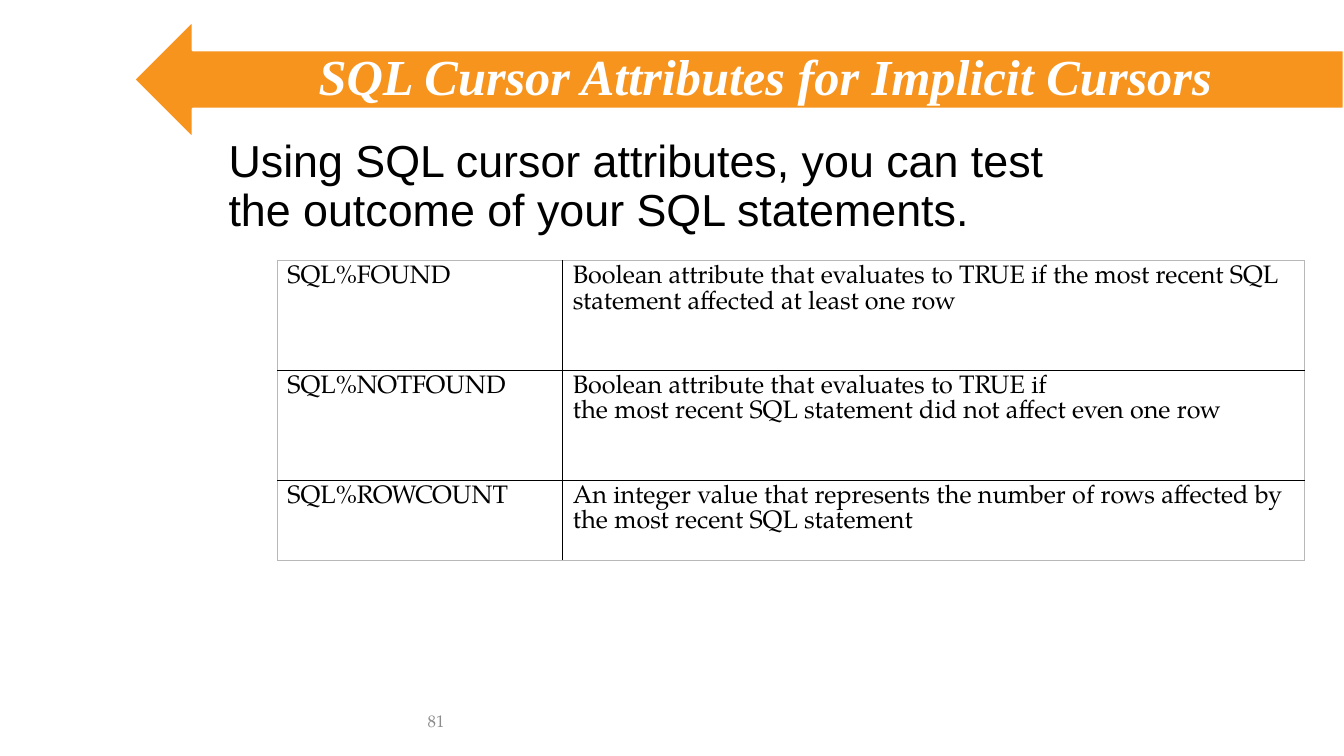
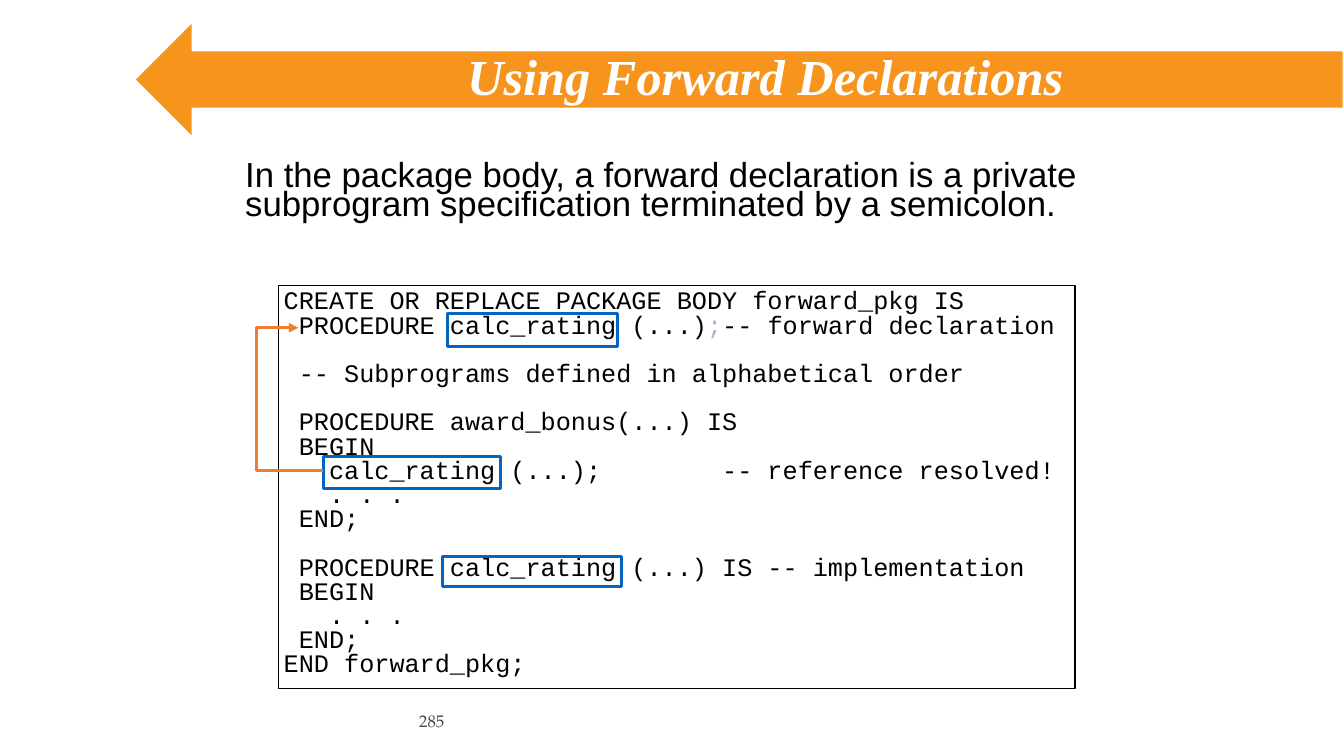
from lxml import etree
from pptx import Presentation
from pptx.dml.color import RGBColor
from pptx.enum import shapes, text
from pptx.oxml import ns
from pptx.util import Cm, Pt

COLORS = {
    "white": "FFFFFF", "black": "000000", "banner": "F7941D",
    "gray": "8C8C8C", "slate": "464653", "pale": "9FB8CD",
    "marker": "0563C1", "arrow": "ED7D31", "edge": "B8B8B8",
}
SANS, MONO, SERIF, TITLE = "Arial", "Courier New", "TeX Gyre Pagella", "Times New Roman"

ATTRIBUTES = [
    ("SQL%FOUND",
     "Boolean attribute that evaluates to TRUE if the most recent SQL "
     "statement affected at least one row"),
    ("SQL%NOTFOUND",
     "Boolean attribute that evaluates to TRUE if\v"
     "the most recent SQL statement did not affect even one row"),
    ("SQL%ROWCOUNT",
     "An integer value that represents the number of rows affected by "
     "the most recent SQL statement"),
]

CODE = """CREATE OR REPLACE PACKAGE BODY forward_pkg IS
 PROCEDURE calc_rating (...);-- forward declaration

 -- Subprograms defined in alphabetical order

 PROCEDURE award_bonus(...) IS
 BEGIN
   calc_rating (...);        -- reference resolved!
   . . .
 END;

 PROCEDURE calc_rating (...) IS -- implementation
 BEGIN
   . . .
 END;
END forward_pkg;"""


def rgb(name):
    return RGBColor.from_string(COLORS[name])


def style_runs(p, font, size, color="black", bold=False):
    for r in p.runs:
        r.font.name, r.font.size = font, Pt(size)
        r.font.color.rgb = rgb(color)
        r.font.bold = r.font.italic = bold


def style_shape(sp, line, width, fill=None):
    sp.shadow.inherit = False
    if fill:
        sp.fill.solid()
        sp.fill.fore_color.rgb = rgb(fill)
    else:
        sp.fill.background()
    sp.line.color.rgb = rgb(line)
    sp.line.width = Pt(width)


def add_box(s, x, y, w, h, line, width, fill=None, kind=shapes.MSO_SHAPE.RECTANGLE):
    sp = s.shapes.add_shape(kind, Cm(x), Cm(y), Cm(w), Cm(h))
    style_shape(sp, line, width, fill)
    return sp


def add_text(s, box, content, font, size, color="black", bold=False,
             align=text.PP_ALIGN.LEFT, anchor=text.MSO_ANCHOR.TOP, spacing=1.0):
    tf = s.shapes.add_textbox(*map(Cm, box)).text_frame
    tf.word_wrap = True
    tf.vertical_anchor = anchor
    tf.text = content
    p = tf.paragraphs[0]
    p.alignment, p.line_spacing = align, spacing
    style_runs(p, font, size, color, bold)


def add_frame(prs, title, number, number_color):
    s = prs.slides.add_slide(prs.slide_layouts[6])
    add_box(s, 3.38, 0.53, 30.48, 2.95, "white", 1.5, "banner",
            shapes.MSO_SHAPE.LEFT_ARROW)
    add_text(s, (4.71, 1.09, 29.16, 1.83), title, TITLE, 36, "white", True,
             text.PP_ALIGN.CENTER, text.MSO_ANCHOR.MIDDLE, 0.9)
    add_text(s, (5.94, 17.65, 5.51, 1.02), number, SERIF, 12, number_color,
             align=text.PP_ALIGN.RIGHT, anchor=text.MSO_ANCHOR.MIDDLE)
    return s


def add_borders(cell, outer):
    tc_pr = cell._tc.get_or_add_tcPr()
    for i, (side, is_outer) in enumerate(zip("LRTB", outer)):
        color, width = ("edge", 0.5) if is_outer else ("black", 1)
        ln = etree.Element(ns.qn("a:ln" + side), w=str(Pt(width)))
        fill = etree.SubElement(ln, ns.qn("a:solidFill"))
        etree.SubElement(fill, ns.qn("a:srgbClr"), val=COLORS[color])
        tc_pr.insert(i, ln)


def add_attribute_table(s, x, y, widths, heights):
    table = s.shapes.add_table(len(heights), len(widths), Cm(x), Cm(y),
                               Cm(sum(widths)), Cm(sum(heights))).table
    table.first_row = table.horz_banding = False
    for column, width in zip(table.columns, widths):
        column.width = Cm(width)
    last_row, last_col = len(heights) - 1, len(widths) - 1
    for i, (height, values) in enumerate(zip(heights, ATTRIBUTES)):
        table.rows[i].height = Cm(height)
        for j, value in enumerate(values):
            cell = table.cell(i, j)
            cell.fill.background()
            cell.text_frame.text = value
            style_runs(cell.text_frame.paragraphs[0], SERIF, 18)
            add_borders(cell, (j == 0, j == last_col, i == 0, i == last_row))


def add_code_text(sp):
    tf = sp.text_frame
    tf.word_wrap = True
    tf.vertical_anchor = text.MSO_ANCHOR.TOP
    tf.margin_left = tf.margin_right = tf.margin_top = tf.margin_bottom = Cm(0.13)
    p, gap = tf.paragraphs[0], False
    for i, line in enumerate(CODE.splitlines()):
        if not line:
            gap = True
            continue
        if i:
            p = tf.add_paragraph()
        p.alignment, p.line_spacing = text.PP_ALIGN.LEFT, 0.8
        if gap:
            p.space_before, gap = Pt(17.3), False
        head, mark, tail = line.partition(";--")
        parts = [head, ";", "--" + tail] if mark else [line]
        for part in parts:
            p.add_run().text = part
        style_runs(p, MONO, 18)
        if mark:
            p.runs[1].font.color.rgb = rgb("pale")


def add_reference_arrow(s, points):
    points = [(Cm(x), Cm(y)) for x, y in points]
    builder = s.shapes.build_freeform(*points[0])
    builder.add_line_segments(points[1:], close=False)
    sp = builder.convert_to_shape()
    style_shape(sp, "arrow", 2.25)
    etree.SubElement(sp.line._get_or_add_ln(), ns.qn("a:tailEnd"), type="triangle")


def add_code_panel(s, x, y, w, h):
    add_code_text(add_box(s, x, y, w, h, "black", 1, "white"))
    for dx, dy, mw, mh in ((4.26, 0.71, 4.29, 0.84),
                           (1.14, 4.32, 4.45, 0.81),
                           (4.14, 6.83, 4.5, 0.76)):
        add_box(s, x + dx, y + dy, mw, mh, "marker", 2.25)
    route = ((1.13, 4.67), (-0.56, 4.67), (-0.56, 1.07), (0.5, 1.07))
    add_reference_arrow(s, [(x + dx, y + dy) for dx, dy in route])


def cursor_slide(prs):
    s = add_frame(prs, "SQL Cursor Attributes for Implicit Cursors", "81", "gray")
    add_text(s, (5.51, 3.38, 22.86, 2.8),
             "Using SQL cursor attributes, you can test the outcome of your "
             "SQL statements.", SANS, 32, spacing=0.9)
    add_attribute_table(s, 6.99, 6.56, (7.19, 18.69), (2.77, 2.77, 2.03))


def declaration_slide(prs):
    s = add_frame(prs, "Using Forward Declarations", "285", "slate")
    add_text(s, (5.93, 4.01, 22, 1.83),
             "In the package body, a forward declaration is a private "
             "subprogram specification terminated by a semicolon.",
             SANS, 24.8, spacing=0.7)
    add_code_panel(s, 7.02, 7.19, 20.07, 10.16)


def main():
    prs = Presentation()
    prs.slide_width, prs.slide_height = Cm(33.87), Cm(19.05)
    cursor_slide(prs)
    declaration_slide(prs)
    prs.save("out.pptx")


if __name__ == "__main__":
    main()
